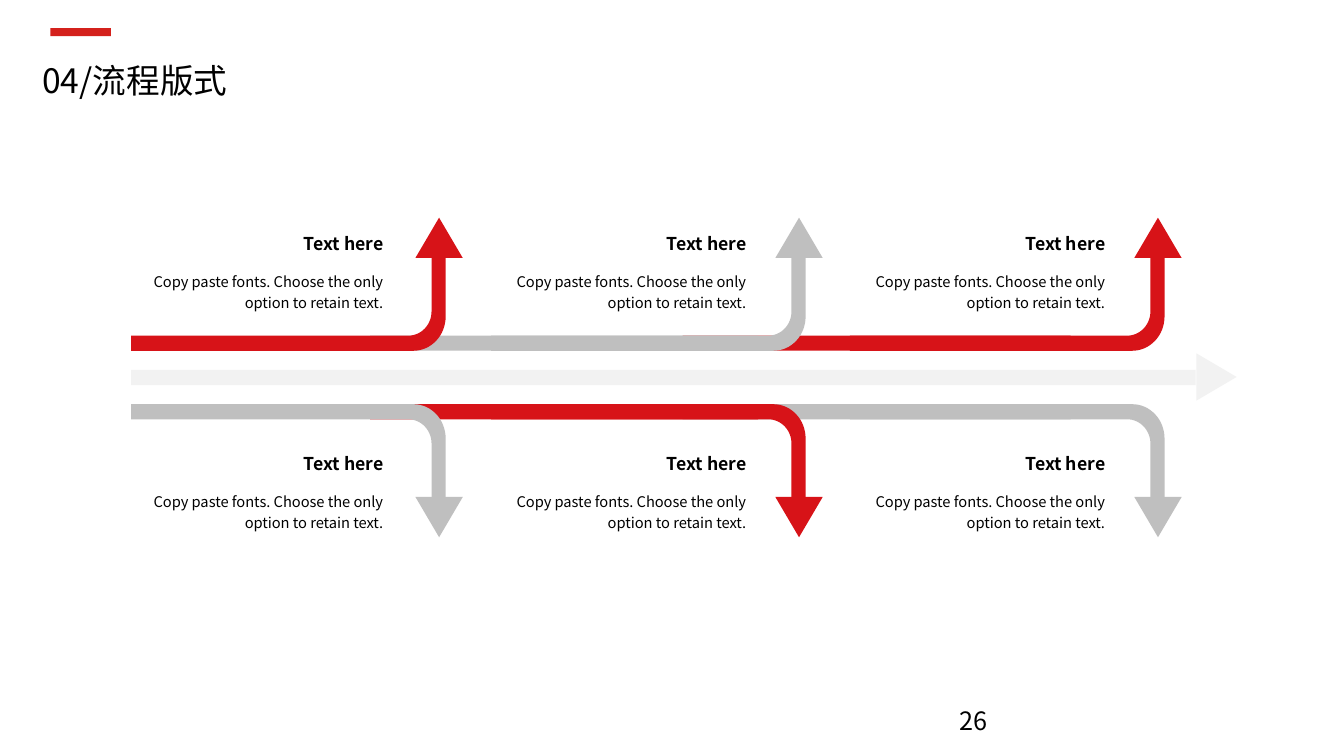
from math import cos, pi, sin

from pptx import Presentation
from pptx.dml.color import RGBColor
from pptx.enum.shapes import MSO_SHAPE as Shape
from pptx.enum.text import MSO_ANCHOR as Anchor, PP_ALIGN as Align
from pptx.util import Inches, Pt

RED, GRAY, PALE, BLACK = "D71318", "BFBFBF", "F2F2F2", "000000"
FONT = "Noto Sans CJK SC"
MIRROR = 7.49  # the lower row is the upper row reflected: y -> MIRROR - y


def paint(shape, color):
    shape.shadow.inherit = False
    shape.fill.solid()
    shape.fill.fore_color.rgb = RGBColor.from_string(color)
    shape.line.fill.background()


def write(shape, text, size, bold=False, anchor=Anchor.TOP, **layout):
    frame = shape.text_frame
    frame.word_wrap = True
    frame.vertical_anchor = anchor
    paragraph = frame.paragraphs[0]
    paragraph.text = text
    for name, value in layout.items():
        setattr(paragraph, name, value)
    font = paragraph.runs[0].font
    for name, value in {"size": Pt(size), "bold": bold, "name": FONT}.items():
        setattr(font, name, value)
    font.color.rgb = RGBColor.from_string(BLACK)


presentation = Presentation()
presentation.slide_width = Inches(13.33)
presentation.slide_height = Inches(7.5)
slide = presentation.slides.add_slide(presentation.slide_layouts[5])
shapes = slide.shapes

# Title with accent bar
title = shapes.title
title.left, title.top, title.width, title.height = map(Inches, (0.32, 0.46, 12.68, 0.67))
write(title, "04/流程版式", 24, alignment=Align.LEFT, line_spacing=1.2)
accent = shapes.add_shape(Shape.RECTANGLE, *map(Inches, (0.5, 0.28, 0.6, 0.08)))
paint(accent, "D4211C")

# Central axis arrow
axis = shapes.add_shape(Shape.RECTANGLE, *map(Inches, (1.3, 3.67, 10.56, 0.15)))
axis_head = shapes.add_shape(Shape.ISOSCELES_TRIANGLE, *map(Inches, (11.83, 3.54, 0.47, 0.4)))
axis_head.rotation = 90
for part in (axis, axis_head):
    paint(part, PALE)

# Steps from right to left, so that each earlier pipe covers the next one
# Each column: right edge of the pipe, left of its feeder strip, left of its text
columns = [
    (11.55, 6.77, 8.22, RED, GRAY),
    (7.99, 3.67, 4.66, GRAY, RED),
    (4.42, None, 1.06, RED, GRAY),
]
quarter = [step * pi / 32 for step in range(17)]

for right, feeder_left, text_left, upper_color, lower_color in columns:
    for is_lower, color in ((False, upper_color), (True, lower_color)):
        # Feeder strip behind the neighbouring pipe
        if feeder_left is not None:
            feeder_top = 4.01 if is_lower else 3.33
            feeder = shapes.add_shape(
                Shape.RECTANGLE, *map(Inches, (feeder_left, feeder_top, 3.85, 0.15)))
            paint(feeder, color)

        # Bent pipe: outer arc, straight end, inner arc back to the arrowhead
        outer = [(right - 0.32 + 0.32 * cos(t), 3.14 + 0.34 * sin(t)) for t in quarter]
        inner = [(right - 0.37 + 0.23 * cos(t), 3.09 + 0.24 * sin(t)) for t in reversed(quarter)]
        outline = [(right, 2.56), *outer, (right - 3.12, 3.48),
                   (right - 3.12, 3.33), *inner, (right - 0.14, 2.56)]
        points = [(Inches(x), Inches(MIRROR - y if is_lower else y)) for x, y in outline]
        builder = shapes.build_freeform(*points[0])
        builder.add_line_segments(points[1:], close=True)
        paint(builder.convert_to_shape(), color)

        # Arrowhead
        head_top = 4.93 if is_lower else 2.16
        head = shapes.add_shape(
            Shape.ISOSCELES_TRIANGLE, *map(Inches, (right - 0.3, head_top, 0.47, 0.4)))
        head.rotation = 180 if is_lower else 0
        paint(head, color)

        # Heading and description
        text_top = 4.44 if is_lower else 2.26
        heading = shapes.add_textbox(*map(Inches, (text_left, text_top, 2.84, 0.28)))
        write(heading, "Text here", 12.6, bold=True, alignment=Align.RIGHT)
        description = shapes.add_textbox(*map(Inches, (text_left, text_top + 0.28, 2.84, 0.68)))
        write(description, "Copy paste fonts. Choose the only option to retain text.", 10.5,
              anchor=Anchor.MIDDLE, alignment=Align.RIGHT, line_spacing=1.2)

# Page number
page_number = shapes.add_textbox(*map(Inches, (9.42, 6.95, 3, 0.4)))
write(page_number, "26", 18)

presentation.save("out.pptx")
